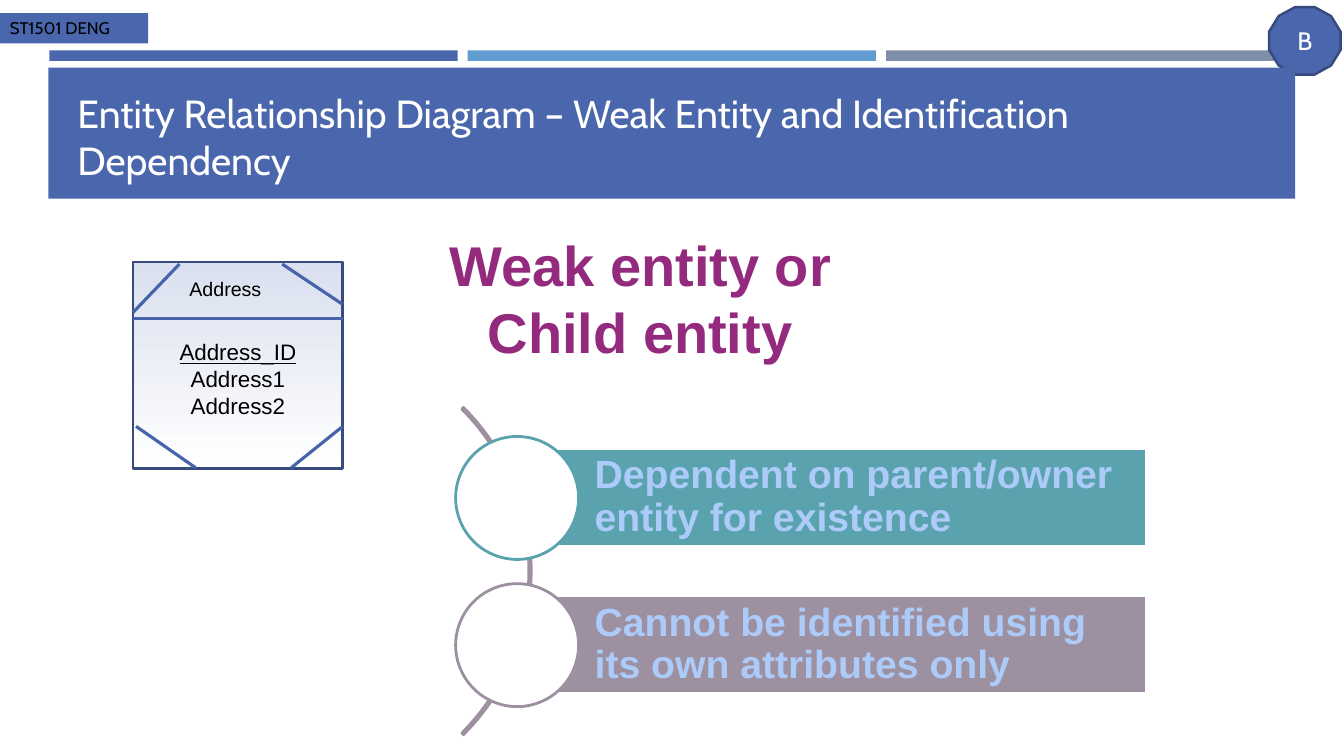
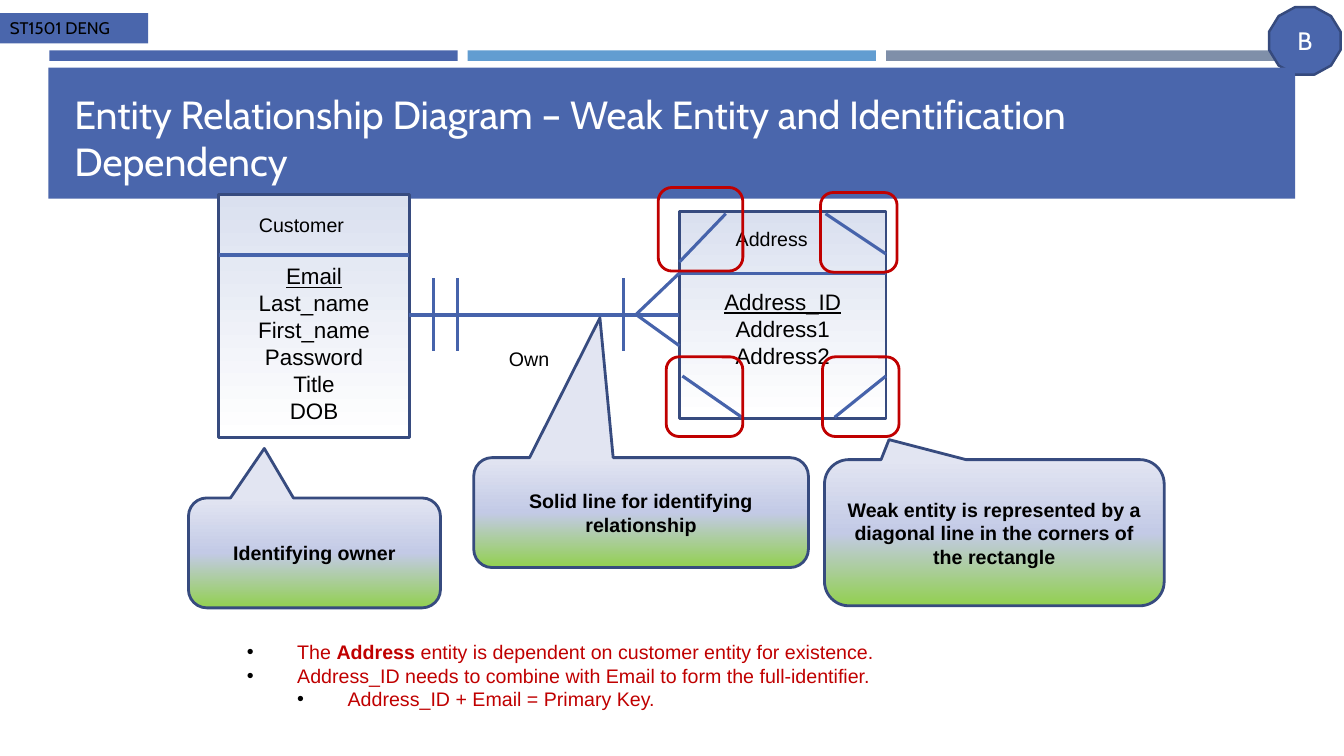
"""Builds two slides on weak entities and identification dependency."""
from copy import deepcopy

from lxml import etree
from pptx import Presentation
from pptx.dml.color import RGBColor
from pptx.enum.shapes import MSO_CONNECTOR, MSO_SHAPE
from pptx.enum.text import MSO_ANCHOR, PP_ALIGN
from pptx.oxml.ns import qn
from pptx.util import Inches, Pt

RECT, OVAL = MSO_SHAPE.RECTANGLE, MSO_SHAPE.OVAL
DODECAGON, ARC = MSO_SHAPE.DODECAGON, MSO_SHAPE.BLOCK_ARC
ROUNDED, CALLOUT = MSO_SHAPE.ROUNDED_RECTANGLE, MSO_SHAPE.ROUNDED_RECTANGULAR_CALLOUT
STRAIGHT = MSO_CONNECTOR.STRAIGHT
TOP, MIDDLE, BOTTOM = MSO_ANCHOR.TOP, MSO_ANCHOR.MIDDLE, MSO_ANCHOR.BOTTOM
LEFT, CENTER = PP_ALIGN.LEFT, PP_ALIGN.CENTER

WHITE = RGBColor(0xFF, 0xFF, 0xFF)
BLACK = RGBColor(0x00, 0x00, 0x00)
BLUE = RGBColor(0x4A, 0x66, 0xAC)
SKY = RGBColor(0x62, 0x9D, 0xD1)
SLATE = RGBColor(0x7F, 0x8F, 0xA9)
BADGE_EDGE = RGBColor(0x36, 0x4A, 0x7D)
EDGE = RGBColor(0x37, 0x4B, 0x7F)
LINK = RGBColor(0x46, 0x63, 0xAB)
PALE_BLUE = RGBColor(0xDA, 0xE0, 0xEF)
MIST = RGBColor(0xE2, 0xE5, 0xF2)
LAVENDER = RGBColor(0xC3, 0xCA, 0xE6)
GREEN = RGBColor(0x92, 0xD0, 0x50)
PLUM = RGBColor(0x93, 0x2A, 0x7E)
TEAL = RGBColor(0x5A, 0xA2, 0xAE)
MAUVE = RGBColor(0x9D, 0x90, 0xA0)
ICE = RGBColor(0xAC, 0xCB, 0xF9)
RED = RGBColor(0xC0, 0x00, 0x00)

TITLE_FONT = {"name": "Cabin", "size": Pt(28), "color": WHITE}
BADGE_FONT = {"name": "Cabin", "size": Pt(18), "color": WHITE}
MODULE_FONT = {"name": "Cabin", "size": Pt(12), "color": BLACK}
LABEL_FONT = {"name": "Arial", "size": Pt(14), "color": BLACK}
ATTRIBUTE_FONT = {"name": "Arial", "size": Pt(16), "color": BLACK}
CALLOUT_FONT = {"name": "Arial", "size": Pt(14), "color": BLACK, "bold": True}
HEADLINE_FONT = {"name": "Arial", "size": Pt(40), "color": PLUM, "bold": True}
TRAIT_FONT = {"name": "Arial", "size": Pt(28), "color": ICE, "bold": True}
NOTE_FONT = {"name": "Arial", "size": Pt(14), "color": RED}

deck = Presentation()
deck.slide_width, deck.slide_height = Inches(40 / 3), Inches(7.5)
COL, ROW = deck.slide_width / 160, deck.slide_height / 90
ATTRIBUTE_LINE = 3.2
TITLE = "Entity Relationship Diagram – Weak Entity and Identification Dependency"


def draw(slide, kind, box, fill=(), edge=None, weight=2, adjust=()):
    """Add a preset shape; several fill colours run from top to bottom."""
    left, top, width, height = box
    shape = slide.shapes.add_shape(kind, round(left * COL), round(top * ROW),
                                   round(width * COL), round(height * ROW))
    shape.shadow.inherit = False
    for index, value in enumerate(adjust):
        shape.adjustments[index] = value
    if len(fill) > 1:
        shape.fill.gradient()
        shape.fill.gradient_angle = 270
        stop_list = shape._element.spPr.find(".//" + qn("a:gsLst"))
        for _ in fill[2:]:
            stop_list.append(deepcopy(stop_list[0]))
        for index, stop in enumerate(shape.fill.gradient_stops):
            stop.position = index / (len(fill) - 1)
            stop.color.rgb = fill[index]
    elif fill:
        shape.fill.solid()
        shape.fill.fore_color.rgb = fill[0]
    else:
        shape.fill.background()
    if edge:
        shape.line.color.rgb = edge
        shape.line.width = Pt(weight)
    else:
        shape.line.fill.background()
    return shape


def write(slide, place, texts, font, align=LEFT, spacing=None, **frame_format):
    """Fill a shape, or a new text box at a grid box; pieces between bars are bold."""
    if isinstance(place, tuple):
        left, top, width, height = place
        place = slide.shapes.add_textbox(round(left * COL), round(top * ROW),
                                         round(width * COL), round(height * ROW))
    frame = place.text_frame
    for key, value in ({"word_wrap": True} | frame_format).items():
        setattr(frame, key, value)
    for index, text in enumerate(texts):
        paragraph = frame.add_paragraph() if index else frame.paragraphs[0]
        paragraph.alignment = align
        paragraph.line_spacing = spacing
        for part, piece in enumerate(text.split("|")):
            run = paragraph.add_run()
            run.text = piece
            for key, value in font.items():
                if key == "color":
                    run.font.color.rgb = value
                else:
                    setattr(run.font, key, value)
            if part % 2:
                run.font.bold = True
    return frame


address = ["Address_ID", "Address1", "Address2"]
customer = ["Email", "Last_name", "First_name", "Password", "Title", "DOB"]
pages = [
    {"title_at": (8.04, 9.12),
     "entities": [
         ("Address", (15.84, 31.2, 24.96, 24.6), address, 6.72, (5.52, 1.2), 1, True)],
     "links": []},
    {"title_at": (7.68, 9.24),
     "entities": [
         ("Customer", (26.04, 23.16, 22.68, 28.92), customer, 7.2, (3.6, 1.6), 2, False),
         ("Address", (80.88, 25.2, 24.6, 24.6), address, 7.32, (5.52, 1.2), 1, True)],
     "links": [(48.72, 37.5, 80.88, 37.5, 3),
               (75.72, 37.44, 80.88, 32.52, 2.25),
               (75.72, 37.44, 80.88, 41.16, 2.25)]
     + [(x, 33.12, x, 41.76, 2.25) for x in (51.6, 54.48, 74.28)]},
]

for page in pages:
    slide = deck.slides.add_slide(deck.slide_layouts[6])
    for index, color in enumerate((BLUE, SKY, SLATE)):
        draw(slide, RECT, (5.88 + index * 49.8, 6, 48.6, 1.25), [color])
    badge = draw(slide, DODECAGON, (151.08, 0.84, 8.52, 8.04), [BLUE], BADGE_EDGE, 1.75)
    write(slide, badge, ["B"], BADGE_FONT, CENTER, vertical_anchor=MIDDLE)
    module_tag = draw(slide, RECT, (0, 1.56, 17.64, 3.6), [BLUE])
    write(slide, module_tag, ["ST1501 DENG"], MODULE_FONT, vertical_anchor=TOP)
    draw(slide, RECT, (5.76, 8.04, 148.44, 15.6), [BLUE])
    write(slide, (*page["title_at"], 144.72, 13.32), [TITLE], TITLE_FONT,
          vertical_anchor=BOTTOM)

    links = list(page["links"])
    for name, box, attributes, header, label_at, lead_lines, weak in page["entities"]:
        left, top, width, height = box
        entity = draw(slide, RECT, box, [PALE_BLUE, WHITE], EDGE)
        frame = write(slide, entity, attributes, ATTRIBUTE_FONT, CENTER,
                      vertical_anchor=MIDDLE,
                      margin_top=round((lead_lines * ATTRIBUTE_LINE + 0.6) * ROW))
        frame.paragraphs[0].runs[0].font.underline = True
        write(slide, (left + label_at[0], top + label_at[1], 16, 4), [name], LABEL_FONT)
        spans = [(0, header, width, header)]
        if weak:
            spans += [(0, 6, 5.52, 0.24),
                      (width - 7.2, 0.24, width, 5.04),
                      (width - 6.12, height - 0.12, width, height - 5.04),
                      (0.36, height - 5.04, 7.44, height - 0.12)]
        links += [(left + x1, top + y1, left + x2, top + y2, 2.25)
                  for x1, y1, x2, y2 in spans]
    for x1, y1, x2, y2, weight in links:
        link = slide.shapes.add_connector(STRAIGHT, round(x1 * COL), round(y1 * ROW),
                                          round(x2 * COL), round(y2 * ROW))
        link.line.color.rgb = LINK
        link.line.width = Pt(weight)
        etree.SubElement(link._element.spPr, qn("a:effectLst"))

meaning, notation = deck.slides

write(meaning, (50.28, 26.88, 51.84, 17.4), ["Weak entity or Child entity"],
      HEADLINE_FONT, CENTER)
draw(meaning, ARC, (8.16, 40.44, 55.08, 55.08), (), MAUVE, adjust=(189, 27, 0.005))
traits = [("Dependent on parent/owner entity for existence", TEAL),
          ("Cannot be identified using its own attributes only", MAUVE)]
for index, (trait, color) in enumerate(traits):
    top = 53.4 + index * 17.52
    bar = draw(meaning, RECT, (61.56, top, 74.88, 11.64), [color], WHITE)
    write(meaning, bar, [trait], TRAIT_FONT, spacing=0.9, vertical_anchor=MIDDLE,
          margin_left=round(9.24 * COL), margin_right=round(0.96 * COL))
    draw(meaning, OVAL, (54.24, top - 1.44, 14.64, 14.64), [WHITE], color)

write(notation, (59.4, 40.68, 10, 4.08), ["Own"], LABEL_FONT)
for corner in ((78.36, 22.32, 10.08, 9.96), (97.68, 22.92, 9.12, 9.48),
               (79.32, 42.48, 9.12, 9.48), (97.92, 42.48, 9.12, 9.48)):
    draw(notation, ROUNDED, corner, (), RED)
callouts = [
    ("Identifying owner", (22.44, 59.28, 30, 13.08), (-0.199, -0.951)),
    ("Weak entity is represented by a diagonal line in the corners of the rectangle",
     (98.16, 54.72, 40.44, 17.4), (-0.31, -0.637)),
    ("Solid line for identifying relationship",
     (56.4, 54.48, 39.84, 13.08), (-0.123, -1.772)),
]
for text, box, tip in callouts:
    callout = draw(notation, CALLOUT, box, [MIST, LAVENDER, GREEN], EDGE, adjust=tip)
    write(notation, callout, [text], CALLOUT_FONT, CENTER, vertical_anchor=MIDDLE)

notes = write(notation, (28.2, 75.6, 105.36, 9.72),
              ["The |Address |entity is dependent on customer entity for existence.",
               "Address_ID needs to combine with Email to form the full-identifier.",
               "Address_ID + Email = Primary Key."], NOTE_FONT)
for paragraph, level in zip(notes.paragraphs, (0, 0, 1)):
    paragraph.level = level
    properties = paragraph._p.get_or_add_pPr()
    properties.set("marL", str(round(6 * (level + 1) * COL)))
    properties.set("indent", str(round(-6 * COL)))
    bullet_color = etree.SubElement(properties, qn("a:buClr"))
    etree.SubElement(bullet_color, qn("a:srgbClr"), val=str(BLACK))
    etree.SubElement(properties, qn("a:buFont"), typeface="Arial")
    etree.SubElement(properties, qn("a:buChar"), char="•")

deck.save("out.pptx")
